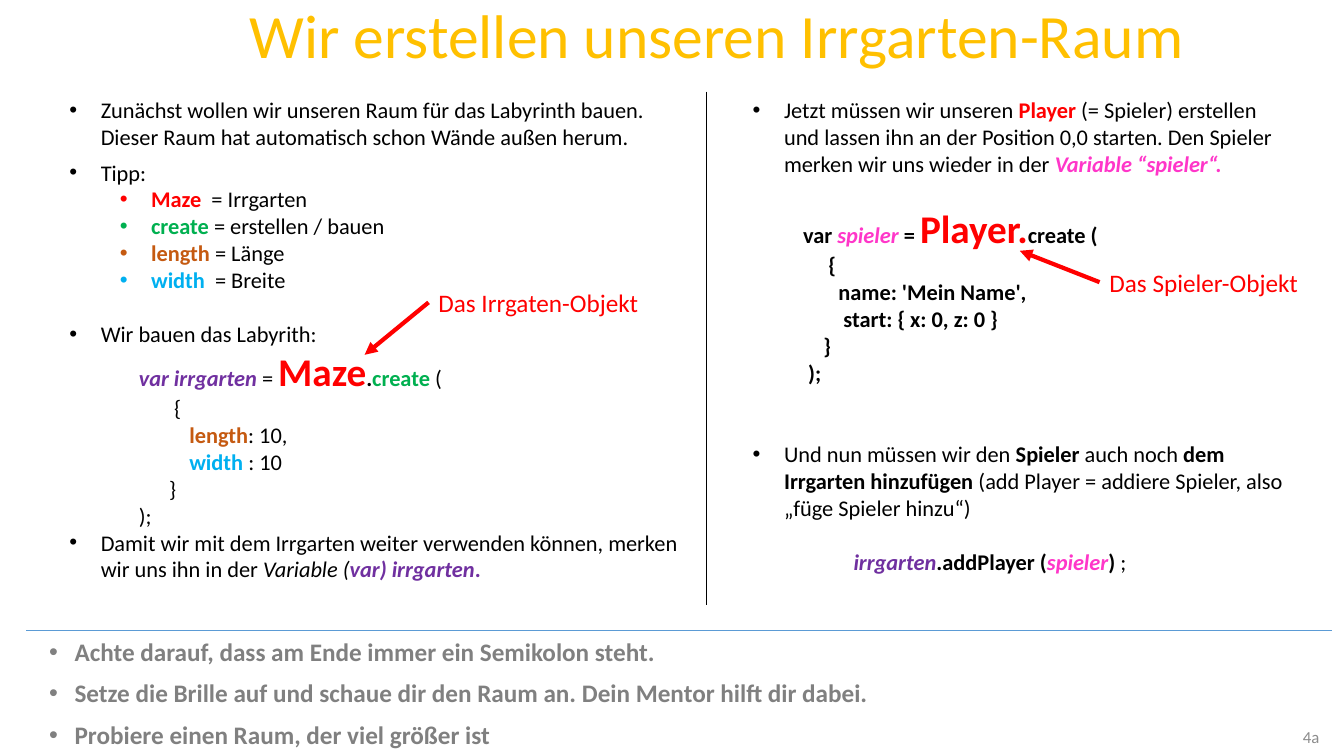
import dataclasses

import pptx
import pptx.dml.color
import pptx.enum.shapes
import pptx.enum.text
import pptx.oxml
import pptx.oxml.ns
import pptx.util

Cm = pptx.util.Cm
Pt = pptx.util.Pt
Rgb = pptx.dml.color.RGBColor.from_string
Align = pptx.enum.text.PP_ALIGN
Anchor = pptx.enum.text.MSO_ANCHOR


@dataclasses.dataclass(frozen=True)
class Theme:
    face: str = "Calibri"
    black: str = "000000"
    red: str = "FF0000"
    green: str = "00B050"
    brown: str = "C55A11"
    cyan: str = "00B0F0"
    violet: str = "7030A0"
    pink: str = "FF36C9"
    gold: str = "FFC000"
    gray: str = "808080"
    pale: str = "8C8C8C"
    blue: str = "5B9BD5"
    head: int = 44
    big: int = 28
    note: int = 18
    text: int = 16
    page: int = 12
    row: float = 19.5  # height of one text line


T = Theme()


def style(color, size=T.text, bold=False, italic=False):
    return {"name": T.face, "size": Pt(size), "bold": bold,
            "italic": italic, "color": color}


PLAIN = style(T.black)
BOLD = style(T.black, bold=True)
SLANT = style(T.black, italic=True)
RED = style(T.red, bold=True)
HUGE = style(T.red, T.big, True)
GREEN = style(T.green, bold=True)
BROWN = style(T.brown, bold=True)
CYAN = style(T.cyan, bold=True)
VIOLET = style(T.violet, bold=True, italic=True)
DOT = style(T.violet, bold=True)
PINK = style(T.pink, bold=True, italic=True)
TITLE = style(T.gold, T.head)
TASK = style(T.gray, T.note, True)
LABEL = style(T.red, T.note)
PAGE = style(T.pale, T.page)

# Kinds of paragraph: left margin, hanging indent (0 = no bullet)
FLAT = (0, 0)
ITEM = (0.79, 0.79)
SUB = (2.06, 0.79)
POINT = (0.64, 0.64)
CODE = (1.75, 0)
CALL = (1.27, 0)
DEEP = (2.54, 0)


def row(kind, *spans, before=0):
    return kind, spans, before


LEFT = [
    row(ITEM, ("Zunächst wollen wir unseren Raum für das Labyrinth bauen. "
               "Dieser Raum hat automatisch schon Wände außen herum.", PLAIN)),
    row(ITEM, ("Tipp:", PLAIN), before=6),
    row(SUB, ("Maze", RED), ("  = Irrgarten", PLAIN)),
    row(SUB, ("create ", GREEN), ("= erstellen / bauen", PLAIN)),
    row(SUB, ("length ", BROWN), ("= Länge", PLAIN)),
    row(SUB, ("width", CYAN), ("  = Breite", PLAIN)),
    row(ITEM, ("Wir bauen das Labyrith:", PLAIN), before=T.row),
    row(CODE, ("var irrgarten ", VIOLET), ("= ", PLAIN), ("Maze", HUGE),
        (".", BOLD), ("create ", GREEN), ("(", PLAIN)),
    row(CODE, ("       {", PLAIN)),
    row(CODE, ("          ", PLAIN), ("length", BROWN), (": 10,", PLAIN)),
    row(CODE, ("          ", PLAIN), ("width ", CYAN), (": 10", PLAIN)),
    row(CODE, ("      }", PLAIN)),
    row(CODE, (");", PLAIN)),
    row(ITEM, ("Damit wir mit dem Irrgarten weiter verwenden können, "
               "merken wir uns ihn in der ", PLAIN), ("Variable (", SLANT),
        ("var) irrgarten", VIOLET), (".", DOT)),
]

RIGHT = [
    row(ITEM, ("Jetzt müssen wir unseren ", PLAIN), ("Player ", RED),
        ("(= Spieler) erstellen und lassen ihn an der Position 0,0 starten. "
         "Den Spieler merken wir uns wieder in der ", PLAIN),
        ("Variable “spieler“.", PINK)),
    row(CALL, ("var ", BOLD), ("spieler ", PINK), ("= ", BOLD),
        ("Player.", HUGE), ("create (", BOLD), before=T.row),
    *(row(CALL, (code, BOLD)) for code in (
        "     {", "       name: 'Mein Name',",
        "        start: { x: 0, z: 0 }", "    }", " );")),
    row(ITEM, ("Und nun müssen wir den ", PLAIN), ("Spieler", BOLD),
        (" auch noch ", PLAIN), ("dem Irrgarten hinzufügen", BOLD),
        (" (add Player = addiere Spieler, also „füge Spieler hinzu“)", PLAIN),
        before=2 * T.row),
    row(DEEP, ("irrgarten", VIOLET), (".addPlayer (", BOLD),
        ("spieler", PINK), (")", BOLD), (" ;", PLAIN), before=T.row),
]

TASKS = [row(POINT, (task, TASK), before=10 if n else 0)
         for n, task in enumerate((
             "Achte darauf, dass am Ende immer ein Semikolon steht.",
             "Setze die Brille auf und schaue dir den Raum an. "
             "Dein Mentor hilft dir dabei.",
             "Probiere einen Raum, der viel größer ist"))]


def add_xml(parent, tag, **attrs):
    node = pptx.oxml.parse_xml(
        f"<a:{tag} {pptx.oxml.ns.nsdecls('a')}/>")
    for key, value in attrs.items():
        node.set(key, value)
    parent.append(node)


def indent(para, left, hang):
    props = para._p.get_or_add_pPr()
    props.set("marL", str(Cm(left)))
    props.set("indent", str(-Cm(hang)))
    if hang:
        add_xml(props, "buFont", typeface="Arial")
        add_xml(props, "buChar", char="•")
    else:
        add_xml(props, "buNone")


def add_run(para, text, form):
    run = para.add_run()
    run.text = text
    for key, value in form.items():
        if key == "color":
            run.font.color.rgb = Rgb(value)
        else:
            setattr(run.font, key, value)


def add_text(slide, place, rows, wrap=True, **form):
    """Add a text box; form holds alignment, line_spacing and anchor."""
    frame = slide.shapes.add_textbox(*map(Cm, place)).text_frame
    frame.word_wrap = wrap
    frame.vertical_anchor = form.pop("anchor", Anchor.TOP)
    for n, (kind, spans, before) in enumerate(rows):
        para = frame.add_paragraph() if n else frame.paragraphs[0]
        indent(para, *kind)
        for key, value in {"space_before": Pt(before), **form}.items():
            setattr(para, key, value)
        for text, font in spans:
            add_run(para, text, font)


def add_line(slide, ends, color, width, arrow=False):
    line = slide.shapes.add_connector(
        pptx.enum.shapes.MSO_CONNECTOR.STRAIGHT, *map(Cm, ends))
    line.line.color.rgb = Rgb(color)
    line.line.width = Pt(width)
    if arrow:
        add_xml(line.line._get_or_add_ln(), "tailEnd", type="triangle")
    add_xml(line._element.spPr, "effectLst")


def add_label(slide, x, y, width, text, tip):
    """Add a red label with an arrow from its left edge to the tip."""
    add_line(slide, (x, y + 0.51, *tip), T.red, 3, arrow=True)
    add_text(slide, (x, y, width, 1.02), [row(FLAT, (text, LABEL))],
             wrap=False)


def main():
    deck = pptx.Presentation()
    deck.slide_width, deck.slide_height = Cm(33.87), Cm(19.05)
    slide = deck.slides.add_slide(deck.slide_layouts[6])
    add_text(slide, (31.72, 18.26, 1.78, 0.61), [row(FLAT, ("4a", PAGE))],
             alignment=Align.RIGHT, anchor=Anchor.MIDDLE)
    add_line(slide, (0.66, 15.88, 33.58, 15.88), T.blue, 0.5)
    add_text(slide, (5.64, 0, 24.87, 1.63),
             [row(FLAT, ("Wir erstellen unseren Irrgarten-Raum", TITLE))],
             alignment=Align.CENTER, line_spacing=0.9)
    add_text(slide, (0.99, 16, 32.59, 3.05), TASKS, line_spacing=0.9)
    add_text(slide, (1.5, 2.31, 16.33, 13.28), LEFT)
    add_text(slide, (18.72, 2.31, 14.15, 12.4), RIGHT)
    add_line(slide, (17.81, 2.31, 17.81, 15.24), T.black, 0.5)
    add_label(slide, 10.8, 7.11, 5.59, "Das Irrgaten-Objekt", (9.19, 8.94))
    add_label(slide, 27.71, 6.6, 5.31, "Das Spieler-Objekt", (25.7, 6.32))
    deck.save("out.pptx")


if __name__ == "__main__":
    main()
